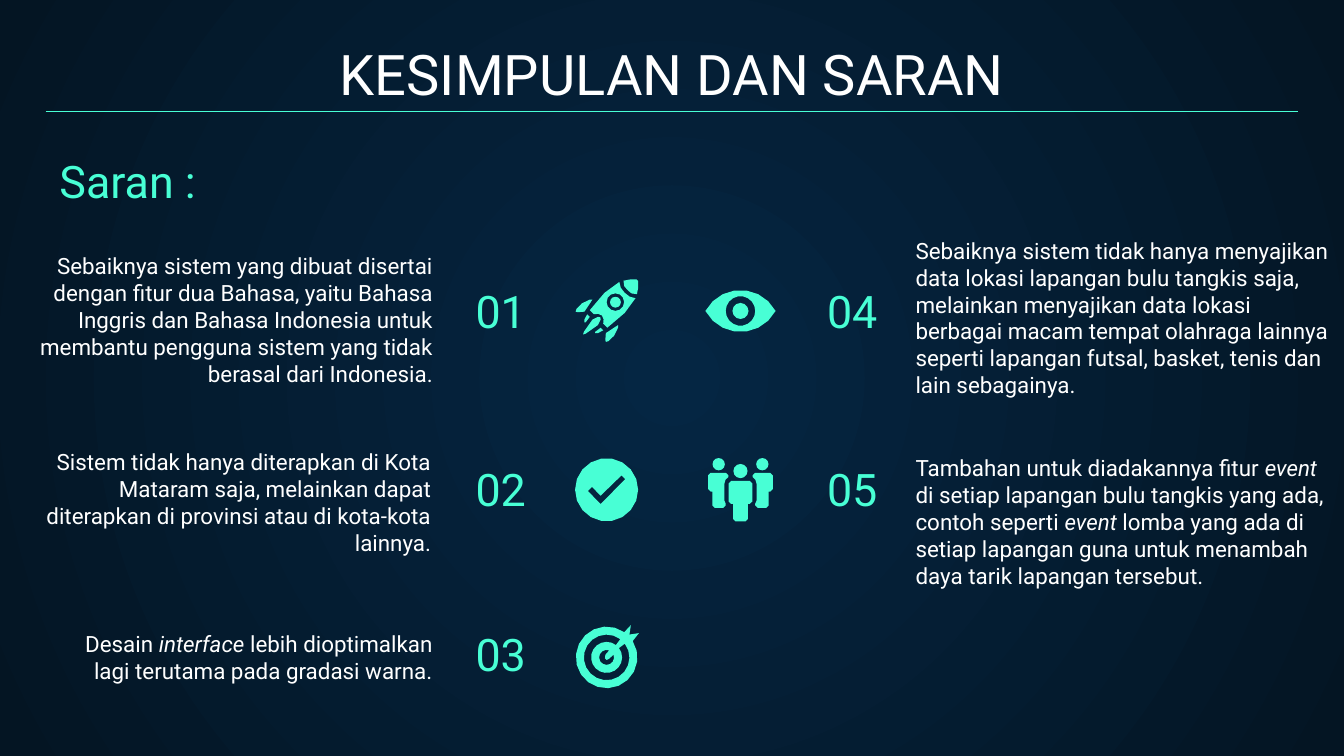
import math

from pptx import Presentation
from pptx import util as u
from pptx.dml.color import RGBColor
from pptx.enum import shapes, text
from pptx.oxml import parse_xml, ns

MINT = RGBColor(0x48, 0xFF, 0xD5)
WHITE = RGBColor(0xFF, 0xFF, 0xFF)
NAVY = RGBColor(0x05, 0x26, 0x43)
MIDNIGHT = RGBColor(0x04, 0x15, 0x23)

LEFT, CENTER, RIGHT = text.PP_ALIGN.LEFT, text.PP_ALIGN.CENTER, text.PP_ALIGN.RIGHT

ICON_COLUMNS = (325, 396.7)
ICON_ROWS = (166.6, 262.4, 352.2)

NUMBERS = [
    ("04", 384.2, 140.7, RIGHT),
    ("05", 384.2, 235.7, RIGHT),
    ("01", 247.7, 140.7, LEFT),
    ("02", 247.7, 235.7, LEFT),
    ("03", 247.7, 324, LEFT),
]

SUGGESTIONS = [
    ("Sebaiknya sistem yang dibuat disertai dengan fitur dua Bahasa, yaitu Bahasa "
     "Inggris dan Bahasa Indonesia untuk membantu pengguna sistem yang tidak "
     "berasal dari Indonesia.", (5.8, 112.3, 233.3, 102.2), RIGHT),
    ("Sistem tidak hanya diterapkan di Kota Mataram saja, melainkan dapat "
     "diterapkan di provinsi atau di kota-kota lainnya.",
     (-0.9, 214.9, 239, 90), RIGHT),
    ("Desain *interface* lebih dioptimalkan lagi terutama pada gradasi warna.",
     (24.3, 316.8, 214.6, 56.9), RIGHT),
    ("Sebaiknya sistem tidak hanya menyajikan data lokasi lapangan bulu tangkis "
     "saja, melainkan menyajikan data lokasi berbagai macam tempat olahraga "
     "lainnya seperti lapangan futsal, basket, tenis dan lain sebagainya.",
     (483.4, 130.5, 236.9, 90), LEFT),
    ("Tambahan untuk diadakannya fitur *event *di setiap lapangan bulu tangkis "
     "yang ada, contoh seperti *event *lomba yang ada di setiap lapangan guna "
     "untuk menambah daya tarik lapangan tersebut.",
     (483.4, 249.8, 236.9, 72.7), LEFT),
]


def set_background(slide):
    """Fill the slide with a gradient that darkens outwards from the centre."""
    fill = slide.background.fill
    fill.gradient()
    for stop, color in zip(fill.gradient_stops, (NAVY, MIDNIGHT)):
        stop.color.rgb = color
    linear = slide.element.find(".//" + ns.qn("a:lin"))
    linear.getparent().replace(linear, parse_xml(
        f'<a:path {ns.nsdecls("a")} path="circle">'
        '<a:fillToRect l="50000" t="50000" r="50000" b="50000"/></a:path>'))


def add_text(slide, content, box, size, color, align):
    """Add bottom-anchored text; asterisks enclose italic parts."""
    frame = slide.shapes.add_textbox(*map(u.Pt, box)).text_frame
    frame.word_wrap = True
    frame.vertical_anchor = text.MSO_ANCHOR.BOTTOM
    frame.margin_left = frame.margin_right = u.Pt(7.2)
    frame.margin_top = frame.margin_bottom = u.Pt(7.2)
    paragraph = frame.paragraphs[0]
    paragraph.alignment = align
    paragraph.font.name = "Roboto"
    paragraph.font.size = u.Pt(size)
    paragraph.font.color.rgb = color
    for index, part in enumerate(content.split("*")):
        run = paragraph.add_run()
        run.text = part
        if index % 2:
            run.font.italic = True


def add_rule(slide, left, right, top):
    """Add the thin line below the title."""
    line = slide.shapes.add_connector(
        shapes.MSO_CONNECTOR.STRAIGHT, u.Pt(left), u.Pt(top), u.Pt(right), u.Pt(top))
    line.line.color.rgb = MINT
    line.line.width = u.Pt(0.75)
    line._element.spPr.append(parse_xml(f'<a:effectLst {ns.nsdecls("a")}/>'))


def arc(x, y, radius, start=0, end=360):
    """Return points along an arc, with angles in degrees clockwise from the right."""
    steps = max(6, math.ceil(abs(end - start) / (30 if radius < 6 else 20)))
    angles = [math.radians(start + (end - start) * i / steps) for i in range(steps + 1)]
    return [(x + radius * math.cos(a), y + radius * math.sin(a)) for a in angles]


def flip(points):
    """Mirror points across the rising diagonal."""
    return [(-y, -x) for x, y in reversed(points)]


def mirror(points):
    """Mirror points from left to right."""
    return [(-x, y) for x, y in points]


def add_piece(parent, column, row, contours):
    """Add one freeform whose inner contours become holes."""
    origin_x, origin_y = ICON_COLUMNS[column], ICON_ROWS[row]
    placed = [[(u.Pt(origin_x + x), u.Pt(origin_y + y)) for x, y in contour]
              for contour in contours]
    builder = parent.shapes.build_freeform(*placed[0][0])
    builder.add_line_segments(placed[0][1:])
    for contour in placed[1:]:
        builder.move_to(*contour[0])
        builder.add_line_segments(contour[1:])
    shape = builder.convert_to_shape()
    shape.shadow.inherit = False
    shape.fill.solid()
    shape.fill.fore_color.rgb = MINT
    shape.line.fill.background()


def add_icon(slide, column, row, pieces):
    """Add an icon, grouping its pieces if there are several."""
    parent = slide.shapes.add_group_shape() if len(pieces) > 1 else slide
    for contours in pieces:
        add_piece(parent, column, row, contours)


def rocket():
    """Return the pieces of a rocket, symmetric about its diagonal."""
    nose = [(11.2, -11.2), (9.4, -13.3), (9, -16.2), (12.6, -16.9), (16, -16.9)]
    hull = [(9.7, -9.7), (7.6, -12.4), (6.8, -15.5), (-1.1, -9.7),
            (-9, -0.4), (-6.8, 1.8), (-4.5, 1.6), (-2.5, 2.5)]
    fin = [(-7.6, -6.1), (-9, -6.1), (-13.3, -4), (-16.2, -1), (-16.6, 0.4),
           (-15.5, 0.7), (-11.9, 0.4)]
    flame = [(-3.4, 3.4), (-4.7, 3.2), (-7.6, 4.7), (-12.2, 11.2), (-12.6, 12.6)]
    spark = [(-10.4, 1.8), (-11.9, 4.7), (-11.9, 6.1), (-11.2, 6.1), (-9, 3.2)]
    nose, hull, flame = [half + flip(half) for half in (nose, hull, flame)]
    return [[spark], [flip(spark)], [flame], [fin], [flip(fin)],
            [arc(4.7, -4.7, 2.9)], [nose], [hull, arc(4.7, -4.7, 4.7)]]


def eye():
    """Return the single piece of an eye."""
    lids = arc(0, 10.2, 21.4, -151.5, -28.5) + arc(0, -10.2, 21.4, 28.5, 151.5)
    return [[lids, arc(0, 0, 7.9), arc(0, 0, 4.3)]]


def check():
    """Return the single piece of a disc with a tick cut out."""
    tick = [(8, -7.7), (10, -5.7), (-3.2, 7.7), (-10, 0.7), (-7.8, -1.5), (-3.2, 3.2)]
    return [[arc(0, 0, 16.9), tick]]


def people():
    """Return the heads and bodies of three people."""
    side = [(-16, -9), (-17.3, -7.7), (-17.3, -0.3), (-16, 1), (-15.1, 1),
            (-15.1, 8.4), (-13.8, 9.7), (-9.2, 9.7), (-7.9, 8.4), (-7.9, 7.5),
            (-8.6, 5.8), (-8.6, -3.2), (-8, -5.4), (-6.5, -6.8), (-6.5, -7.7),
            (-7.8, -9)]
    middle = [(-5, -4.7), (-6.3, -3.4), (-6.3, 6.3), (-5, 7.6), (-4, 7.6),
              (-4, 15.6), (-2.7, 16.9)]
    head = arc(-11.7, -13.7, 3.3)
    return [[head], [side], [mirror(head)], [mirror(side)],
            [middle + mirror(middle)[::-1]], [arc(0, -10, 3.8)]]


def target():
    """Return the single piece of a target hit by an arrow."""
    disc = [(13, -17.3)] + arc(0, 0, 16.5, -55, -392)
    disc += [(17.3, -13), (12.2, -12.2)]
    ring = arc(0, 0, 12.2, -53, -397) + arc(0, 0, 8.3, -397, -53)
    bull = arc(0, 0, 4, -70, -382) + [(1.4, 0.7), (0, 1.4), (-0.9, 0.5), (-0.7, -1.4)]
    return [[bull, ring, disc]]


def main():
    """Build the slide and save it."""
    presentation = Presentation()
    presentation.slide_width, presentation.slide_height = u.Pt(720), u.Pt(405)
    slide = presentation.slides.add_slide(presentation.slide_layouts[6])
    set_background(slide)
    add_text(slide, "KESIMPULAN DAN SARAN", (24.5, 16.9, 671, 47.5), 30, WHITE, CENTER)
    for number, left, top, align in NUMBERS:
        add_text(slide, number, (left, top, 92.9, 47.5), 24, MINT, align)
    for suggestion, box, align in SUGGESTIONS:
        add_text(slide, suggestion, box, 12, WHITE, align)
    add_icon(slide, 0, 2, target())
    add_icon(slide, 0, 0, rocket())
    add_icon(slide, 0, 1, check())
    add_icon(slide, 1, 1, people())
    add_icon(slide, 1, 0, eye())
    add_rule(slide, 24.5, 695.5, 59.8)
    add_text(slide, "Saran :", (24.8, 70.6, 201.6, 47.5), 24, MINT, LEFT)
    presentation.save("out.pptx")


if __name__ == "__main__":
    main()
